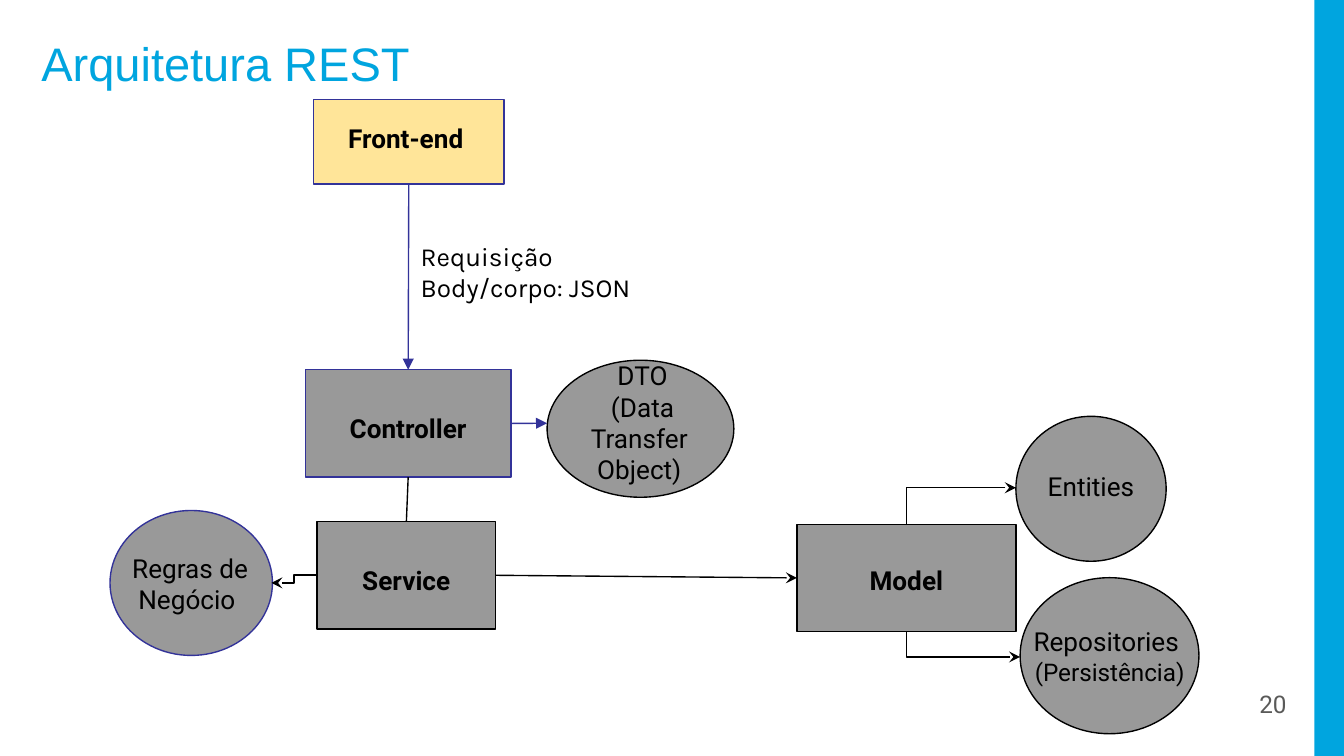
from dataclasses import dataclass
from typing import Optional

from lxml.etree import SubElement
from pptx import Presentation
from pptx.dml.color import RGBColor
from pptx.enum.shapes import MSO_CONNECTOR as Route, MSO_SHAPE as Preset
from pptx.enum.text import MSO_ANCHOR as Anchor, MSO_AUTO_SIZE as AutoSize, PP_ALIGN as Align
from pptx.oxml.ns import qn
from pptx.util import Cm, Pt

CYAN = RGBColor(0x00, 0xA5, 0xDF)
GREY = RGBColor(0x99, 0x99, 0x99)
YELLOW = RGBColor(0xFF, 0xE5, 0x99)
NAVY = RGBColor(0x33, 0x33, 0x99)
BLACK = RGBColor(0, 0, 0)
NUMBER_GREY = RGBColor(0x5A, 0x5A, 0x59)

SLIDE_WIDTH, SLIDE_HEIGHT = 25.4, 14.29
INSET = 0.25


@dataclass
class Box:
    left: float
    top: float
    width: float
    height: float

    def lengths(self) -> list:
        return [Cm(side) for side in (self.left, self.top, self.width, self.height)]


@dataclass
class Label:
    box: Box
    lines: list[str]
    sizes: tuple = (14,)
    font: str = "Roboto"
    color: RGBColor = BLACK
    bold: bool = False
    align: Align = Align.CENTER


@dataclass
class Node:
    preset: Preset
    box: Box
    label: Label
    fill: RGBColor = GREY
    line: RGBColor = BLACK


@dataclass
class Link:
    start: tuple[float, float]
    end: tuple[float, float]
    color: RGBColor = BLACK
    head: Optional[str] = None
    tail: Optional[str] = None
    preset: str = "line"
    begin_at: Optional[tuple[str, int]] = None
    end_at: Optional[tuple[str, int]] = None


NODES = {
    "service": Node(Preset.RECTANGLE, Box(5.99, 9.86, 3.38, 2.03),
                    Label(Box(5.99, 10.41, 3.38, 1.12), ["Service"], bold=True)),
    "entities": Node(Preset.OVAL, Box(19.2, 7.87, 2.84, 2.74),
                     Label(Box(19.35, 8.64, 2.54, 1.12), ["Entities"])),
    "dto": Node(Preset.OVAL, Box(10.34, 6.81, 3.53, 2.59),
                Label(Box(10.34, 6.55, 3.61, 2.9), ["DTO", "(Data Transfer ", "Object) "])),
    "model": Node(Preset.RECTANGLE, Box(15.06, 9.91, 4.14, 2.03),
                  Label(Box(15.06, 10.41, 4.14, 1.12), ["Model"], bold=True)),
    "repositories": Node(Preset.OVAL, Box(19.28, 10.92, 3.38, 2.95),
                         Label(Box(19.28, 11.58, 3.38, 1.68),
                               ["Repositories ", "(Persistência)"], sizes=(14, 13))),
    "controller": Node(Preset.RECTANGLE, Box(5.77, 6.99, 3.89, 2.03),
                       Label(Box(5.77, 7.54, 3.89, 1.12), ["Controller"], bold=True), line=NAVY),
    "rules": Node(Preset.OVAL, Box(2.08, 9.65, 3.07, 2.74),
                  Label(Box(2.06, 10.19, 3.07, 1.7), ["Regras de Negócio "]), line=NAVY),
    "front_end": Node(Preset.RECTANGLE, Box(5.92, 1.88, 3.61, 1.6),
                      Label(Box(5.79, 2.06, 3.76, 1.12), ["Front-end"], bold=True),
                      fill=YELLOW, line=NAVY),
}

LINKS = [
    Link((5.13, 11.02), (5.99, 10.87), head="stealth", preset="bentConnector3"),
    Link((19.2, 9.22), (17.13, 9.91), head="stealth", preset="bentConnector2"),
    Link((19.28, 12.42), (17.13, 11.94), head="stealth", preset="bentConnector2"),
    Link((9.66, 8.1), (10.34, 8), NAVY, tail="triangle", begin_at=("controller", 3)),
    Link((7.71, 9.02), (7.68, 9.86), begin_at=("controller", 2), end_at=("service", 0)),
    Link((9.37, 10.87), (15.06, 10.92), tail="stealth",
         begin_at=("service", 3), end_at=("model", 1)),
    Link((7.72, 3.48), (7.71, 6.99), NAVY, tail="triangle",
         begin_at=("front_end", 2), end_at=("controller", 0)),
]

FREE_LABELS = [
    Label(Box(7.7, 4.29, 6.25, 1.7), ["Requisição", "Body/corpo: JSON"],
          font="Karla", align=Align.LEFT),
    Label(Box(23.55, 12.78, 1.52, 1.09), ["20"], sizes=(13,),
          color=NUMBER_GREY, align=Align.LEFT),
]


def fill_text(shape, label: Label) -> None:
    shape.left, shape.top, shape.width, shape.height = label.box.lengths()
    frame = shape.text_frame
    frame.word_wrap = True
    frame.margin_left = frame.margin_right = Cm(INSET)
    frame.margin_top = frame.margin_bottom = Cm(INSET)
    frame.text = "\n".join(label.lines)
    for index, para in enumerate(frame.paragraphs):
        para.alignment = label.align
        for span in para.runs:
            span.font.size = Pt(label.sizes[index % len(label.sizes)])
            span.font.name = label.font
            span.font.bold = label.bold
            span.font.color.rgb = label.color


def draw_label(page, label: Label) -> None:
    shape = page.shapes.add_textbox(*label.box.lengths())
    fill_text(shape, label)
    shape.text_frame.auto_size = AutoSize.SHAPE_TO_FIT_TEXT


def draw_shape(page, preset: Preset, box: Box, fill: RGBColor, line: Optional[RGBColor] = None):
    shape = page.shapes.add_shape(preset, *box.lengths())
    shape.shadow.inherit = False
    shape.fill.solid()
    shape.fill.fore_color.rgb = fill
    if line is None:
        shape.line.fill.background()
    else:
        shape.line.color.rgb = line
        shape.line.width = Pt(0.75)
    return shape


def draw_node(page, node: Node):
    shape = draw_shape(page, node.preset, node.box, node.fill, node.line)
    draw_label(page, node.label)
    return shape


def draw_link(page, link: Link, shapes: dict) -> None:
    route = Route.STRAIGHT if link.preset == "line" else Route.ELBOW
    points = [Cm(value) for value in (*link.start, *link.end)]
    connector = page.shapes.add_connector(route, *points)
    if link.begin_at:
        name, side = link.begin_at
        connector.begin_connect(shapes[name], side)
    if link.end_at:
        name, side = link.end_at
        connector.end_connect(shapes[name], side)
    connector.line.color.rgb = link.color
    connector.line.width = Pt(0.75)
    properties = connector._element.spPr
    properties.find(qn("a:prstGeom")).set("prst", link.preset)
    outline = properties.find(qn("a:ln"))
    for tag, arrow in (("a:headEnd", link.head), ("a:tailEnd", link.tail)):
        if arrow:
            SubElement(outline, qn(tag), type=arrow)
    SubElement(properties, qn("a:effectLst"))


def main() -> None:
    deck = Presentation()
    deck.slide_width, deck.slide_height = Cm(SLIDE_WIDTH), Cm(SLIDE_HEIGHT)
    page = deck.slides.add_slide(deck.slide_layouts[5])
    draw_shape(page, Preset.RECTANGLE, Box(24.84, 0, 0.56, SLIDE_HEIGHT), CYAN)
    title = page.shapes.title
    fill_text(title, Label(Box(0.53, 0.38, 23.67, 1.6), ["Arquitetura REST"], sizes=(25.2,),
                           font="Arial", color=CYAN, align=Align.LEFT))
    title.text_frame.auto_size = AutoSize.NONE
    title.text_frame.vertical_anchor = Anchor.MIDDLE
    shapes = {name: draw_node(page, node) for name, node in NODES.items()}
    for link in LINKS:
        draw_link(page, link, shapes)
    for label in FREE_LABELS:
        draw_label(page, label)
    deck.save("out.pptx")


if __name__ == "__main__":
    main()
